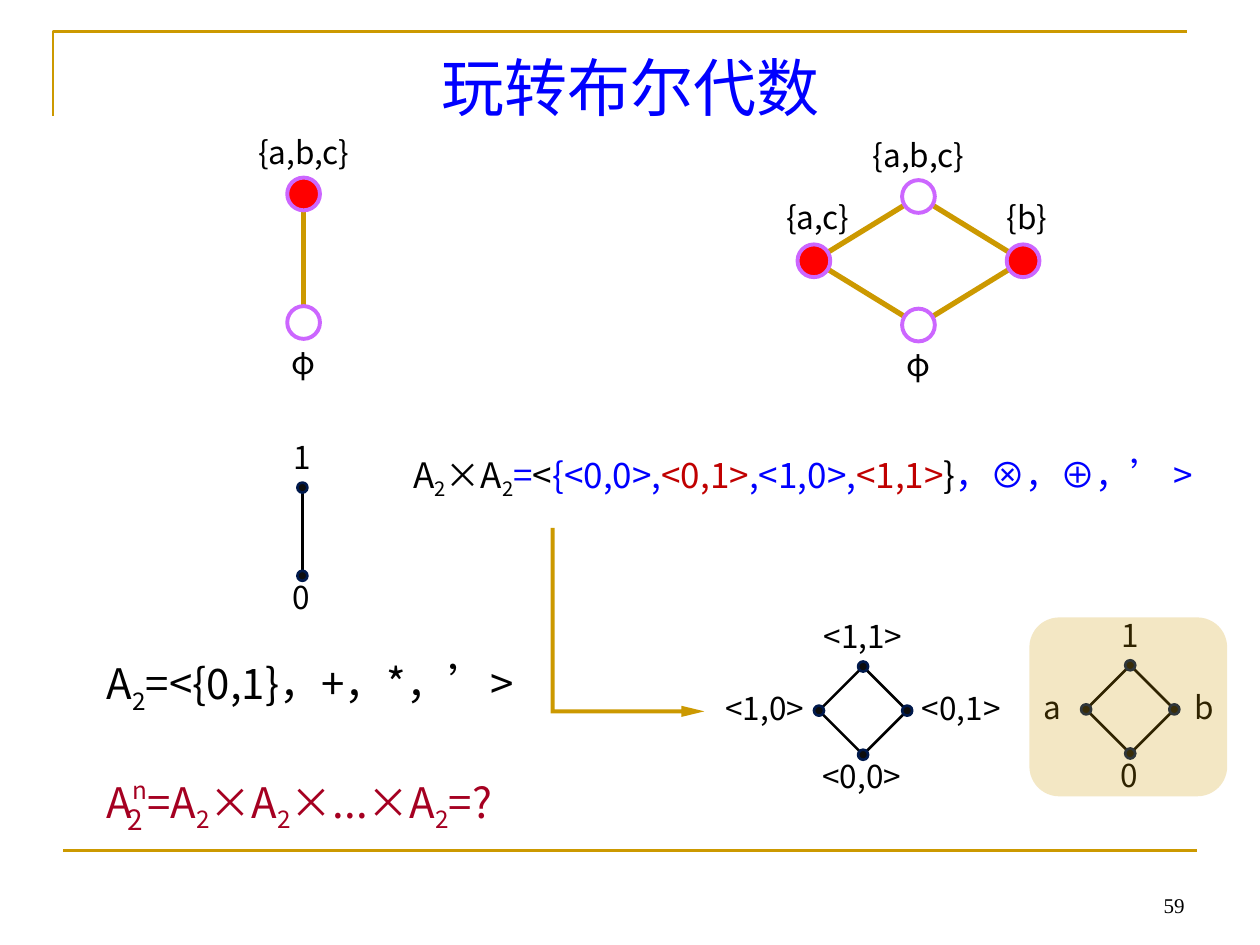
from lxml import etree
from pptx import Presentation
from pptx.dml.color import RGBColor
from pptx.enum.lang import MSO_LANGUAGE_ID
from pptx.enum.shapes import MSO_CONNECTOR, MSO_SHAPE
from pptx.enum.text import MSO_ANCHOR, PP_ALIGN
from pptx.oxml.ns import qn
from pptx.util import Pt

PX = 9144
FONT = "Noto Sans CJK SC"
GOLD, BLUE, RED, WINE, BLACK = "CC9900", "0000FF", "C00000", "A50021", "000000"
OVAL, ROUND, BENT = MSO_SHAPE.OVAL, MSO_SHAPE.ROUNDED_RECTANGLE, MSO_SHAPE.BENT_UP_ARROW
LINE = MSO_CONNECTOR.STRAIGHT
LEFT, MID, RIGHT = PP_ALIGN.LEFT, PP_ALIGN.CENTER, PP_ALIGN.RIGHT
TOP, CENTER, BOTTOM = MSO_ANCHOR.TOP, MSO_ANCHOR.MIDDLE, MSO_ANCHOR.BOTTOM
CHINESE = MSO_LANGUAGE_ID.SIMPLIFIED_CHINESE
BIG = {"ry": 51, "size": 26, "edge": GOLD, "width": 3, "rim": "CC66FF", "rim_pt": 2.25}
SMALL = {"ry": 35, "size": 8, "edge": BLACK, "width": 1.5, "rim": "00194C", "rim_pt": 1.5}
SUB = ("2", None, -25)


def px(*nums):
    """Turn pixel lengths into EMU."""
    return [round(n * PX) for n in nums]


def rgb(code):
    """Make a colour from a hex string."""
    return RGBColor.from_string(code)


def write(shape, runs, size=18, color=BLACK, font=FONT, align=MID, anchor=TOP, hang=0):
    """Fill a shape with runs of (text, colour, baseline)."""
    frame = shape.text_frame
    frame.word_wrap = True
    frame.vertical_anchor = anchor
    para = frame.paragraphs[0]
    para.alignment = align
    if hang:
        props = para._p.get_or_add_pPr()
        props.set("marL", str(hang * PX))
        props.set("indent", str(-hang * PX))
    for words, tint, base in [(runs, None, 0)] if isinstance(runs, str) else runs:
        run = para.add_run()
        run.text = words
        run.font.size = Pt(size)
        run.font.name = font
        run.font.language_id = CHINESE
        run.font.color.rgb = rgb(tint or color)
        props = run._r.get_or_add_rPr()
        etree.SubElement(props, qn("a:ea")).set("typeface", font)
        if base:
            props.set("baseline", str(base * 1000))


def text(shapes, box, runs, **form):
    """Add a text box."""
    write(shapes.add_textbox(*px(*box)), runs, **form)


def link(shapes, ends, color, width):
    """Draw a straight line."""
    line = shapes.add_connector(LINE, *px(*ends))
    line.line.color.rgb = rgb(color)
    line.line.width = Pt(width)
    etree.SubElement(line._element.spPr, qn("a:effectLst"))


def block(shapes, kind, box, fill, rim=None, width=1):
    """Add a filled preset shape."""
    shape = shapes.add_shape(kind, *px(*box))
    shape.shadow.inherit = False
    shape.fill.solid()
    shape.fill.fore_color.rgb = rgb(fill)
    if rim:
        shape.line.color.rgb = rgb(rim)
        shape.line.width = Pt(width)
    else:
        shape.line.fill.background()
    return shape


def hasse(shapes, cx, cy, style, rx, fills, labels):
    """Draw a lattice around a centre, as a chain when rx is zero."""
    ry, size = style["ry"], style["size"]
    spots = [(0, -ry), (rx, 0), (0, ry), (-rx, 0)] if rx else [(0, -ry), (0, ry)]
    pairs = list(zip(spots, spots[1:]))
    if rx:
        pairs.append((spots[-1], spots[0]))
    for (x1, y1), (x2, y2) in pairs:
        link(shapes, (cx + x1, cy + y1, cx + x2, cy + y2), style["edge"], style["width"])
    for (x, y), fill in zip(spots, fills):
        box = (cx + x - size / 2, cy + y - size / 2, size, size)
        block(shapes, OVAL, box, fill, style["rim"], style["rim_pt"])
    for words, x, y, wide in labels:
        text(shapes, (cx + x - wide / 2, cy + y - 20, wide, 40), words)


def frame(shapes):
    """Draw the gold rules at the page edges."""
    pen = shapes.build_freeform(42, 92, scale=PX)
    pen.add_line_segments([(42, 25), (942, 25)], close=False)
    corner = pen.convert_to_shape()
    corner.shadow.inherit = False
    corner.fill.background()
    corner.line.color.rgb = rgb(GOLD)
    corner.line.width = Pt(1.5)
    link(shapes, (50, 675, 950, 675), GOLD, 1.5)


def title(slide, box, words):
    """Place and format the title."""
    head = slide.shapes.title
    head.left, head.top, head.width, head.height = px(*box)
    write(head, words, size=36, color=BLUE, anchor=CENTER)


def sets(shapes):
    """Draw the two set lattices."""
    ends = [("{a,b,c}", 0, -84, 112), ("φ", 0, 82, 50)]
    red, white = "FF0000", "FFFFFF"
    hasse(shapes.add_group_shape().shapes, 241, 205, BIG, 0, [red, white], ends)
    sides = [("{b}", 86, -35, 64), ("{a,c}", -80, -35, 78)]
    hasse(shapes.add_group_shape().shapes, 729, 207, BIG, 83, [white, red] * 2, ends + sides)


def tuples(shapes):
    """Draw the lattices of zeros and ones, and the panel."""
    def draw(cx, cy, rx, high, low, *sides):
        """Draw one small lattice in its own group."""
        group = shapes.add_group_shape().shapes
        marks = [(high, 0, -59, 102), (low, -1, 52, 95), *sides]
        hasse(group, cx, cy, SMALL, rx, ["0D0D0D"] * 4, marks)
        return group

    draw(240, 422, 0, "1", "0")
    draw(685, 564, 35, "<1,1>", "<0,0>", ("<0,1>", 78, -2, 94), ("<1,0>", -78, -2, 87))
    group = draw(897, 563, 35, "1", "0", ("b", 59, -2, 56), ("a", -62, -2, 55))
    panel = block(group, ROUND, (817, 490, 157, 142), GOLD)
    tone = panel.fill._xPr.find(qn("a:solidFill"))[0]
    etree.SubElement(tone, qn("a:alpha")).set("val", "23000")


def arrow(shapes, box):
    """Draw the bent arrow to the product lattice."""
    bent = block(shapes, BENT, box, GOLD)
    bent.rotation = 90
    for i, part in enumerate((0.026, 0.036, 0.149)):
        bent.adjustments[i] = part


def sums(shapes):
    """Write the formulas."""
    text(shapes, (75, 517, 362, 63), [("A", None, 0), SUB, ("=<{0,1}，+，*，’>", None, 0)],
         size=24, align=LEFT, hang=38)
    text(shapes, (303, 351, 669, 55),
         [("A", None, 0), SUB, ("×A", None, 0), SUB, ("=", BLUE, 0), ("<", None, 0),
          ("{<0,0>,", BLUE, 0), ("<0,1>", RED, 0), (",<1,0>,", BLUE, 0),
          ("<1,1>", RED, 0), ("}", None, 0), ("，⊗，⊕，’ >", BLUE, 0)],
         size=20, anchor=CENTER)
    form = {"color": WINE, "align": LEFT, "anchor": CENTER}
    text(shapes, (75, 611, 362, 55),
         [("A", None, 0), ("n", None, 44), ("=A", None, 0), SUB, ("×A", None, 0), SUB,
          ("×...×A", None, 0), SUB, ("=?", None, 0)], size=24, **form)
    text(shapes, (91, 635, 31, 31), "2", size=16, **form)


def main():
    """Build and save the slide."""
    deck = Presentation()
    deck.slide_width, deck.slide_height = px(1000, 750)
    slide = deck.slides.add_slide(deck.slide_layouts[5])
    shapes = slide.shapes
    frame(shapes)
    title(slide, (50, 30, 900, 77), "玩转布尔代数")
    sets(shapes)
    arrow(shapes, (423, 433, 150, 122))
    tuples(shapes)
    sums(shapes)
    text(shapes, (870, 683, 80, 50), "59", size=12, font="Times New Roman",
         align=RIGHT, anchor=BOTTOM)
    deck.save("out.pptx")


if __name__ == "__main__":
    main()
